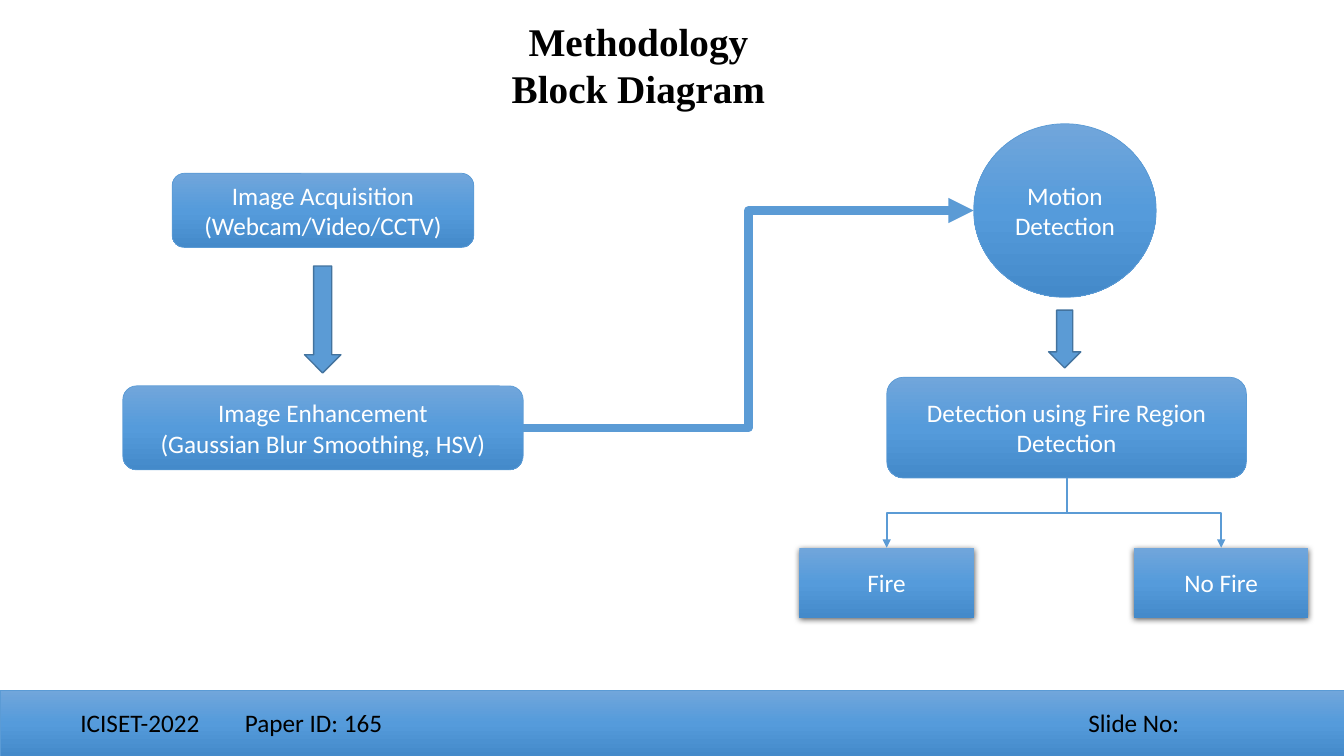
from lxml import etree
from pptx import Presentation
from pptx.dml.color import RGBColor
from pptx.enum import shapes, text
from pptx.oxml.ns import qn
from pptx.util import Pt

INK = {"top": "71A6DB", "mid": "559BDB", "low": "448ACA", "line": "5B9BD5",
       "edge": "43739E", "white": "FFFFFF", "black": "000000"}
KIND = shapes.MSO_SHAPE

deck = Presentation()
deck.slide_width, deck.slide_height = Pt(960), Pt(540)
slide = deck.slides.add_slide(deck.slide_layouts[5])
parts = slide.shapes


def style(frame, size, color, font="Calibri", align=text.PP_ALIGN.CENTER):
    """Align every paragraph and format its runs."""
    frame.word_wrap = True
    for para in frame.paragraphs:
        para.alignment = align
        for run in para.runs:
            run.font.size, run.font.name = Pt(size), font
            run.font.color.rgb = RGBColor.from_string(INK[color])


def link(start, site, end, goal, frame, weight, turn=0, flip=None):
    """Glue an elbow arrow to two shapes and place its frame."""
    wire = parts.add_connector(shapes.MSO_CONNECTOR.ELBOW, 0, 0, 0, 0)
    wire.begin_connect(start, site)
    wire.end_connect(end, goal)
    wire.left, wire.top, wire.width, wire.height = [Pt(v) for v in frame]
    props = wire._element.spPr
    form = props.find(qn("a:xfrm"))
    for name in ("flipH", "flipV"):
        form.set(name, "1" if name == flip else "0")
    form.set("rot", str(turn * 60000))
    wire.line.width = Pt(weight)
    wire.line.color.rgb = RGBColor.from_string(INK["line"])
    etree.SubElement(wire.line._get_or_add_ln(), qn("a:tailEnd"), type="triangle")
    etree.SubElement(props, qn("a:effectLst"))


# Title
title = parts.title
title.left, title.top, title.width, title.height = Pt(303), Pt(8.6), Pt(306), Pt(75)
title.text_frame.text = "Methodology\nBlock Diagram"
title.text_frame.vertical_anchor = text.MSO_ANCHOR.TOP
style(title.text_frame, 28, "black", "Times New Roman")
for para in title.text_frame.paragraphs:
    para.line_spacing = Pt(33.6)
    para.runs[0].font.bold = True

# Footer bar and blocks: name, kind, left, top, width, height, words
blocks = [
    ("bar", KIND.RECTANGLE, 0, 493, 960, 47, ""),
    ("input", KIND.ROUNDED_RECTANGLE, 123, 123.8, 215.4, 53,
     "Image Acquisition\n(Webcam/Video/CCTV)"),
    ("enhance", KIND.ROUNDED_RECTANGLE, 87.7, 275.6, 286, 60,
     "Image Enhancement\n(Gaussian Blur Smoothing, HSV)"),
    ("motion", KIND.OVAL, 695.5, 88.4, 130.4, 124, "Motion Detection"),
    ("region", KIND.ROUNDED_RECTANGLE, 633.4, 269.5, 257, 72,
     "Detection using Fire Region Detection"),
    ("fire", KIND.RECTANGLE, 571, 391.2, 124.6, 50, "Fire"),
    ("clear", KIND.RECTANGLE, 810, 391.2, 124.6, 50, "No Fire"),
]
made = {}
for name, kind, left, top, width, height, words in blocks:
    box = parts.add_shape(kind, Pt(left), Pt(top), Pt(width), Pt(height))
    made[name] = box
    box.shadow.inherit = False
    box.fill.gradient()
    box.fill.gradient_angle = 270
    stops = box._element.spPr.find(qn("a:gradFill")).find(qn("a:gsLst"))
    for old in list(stops):
        stops.remove(old)
    for pos, tone in ((0, "top"), (50, "mid"), (100, "low")):
        stop = etree.SubElement(stops, qn("a:gs"), pos=str(pos * 1000))
        etree.SubElement(stop, qn("a:srgbClr"), val=INK[tone])
    if name in ("fire", "clear"):
        box.line.fill.background()
        glow = etree.SubElement(
            box._element.spPr.find(qn("a:effectLst")), qn("a:outerShdw"),
            blurRad=str(Pt(4.5)), dist=str(Pt(1.5)), dir="5400000",
            algn="ctr", rotWithShape="0")
        tint = etree.SubElement(glow, qn("a:srgbClr"), val=INK["black"])
        etree.SubElement(tint, qn("a:alpha"), val="63000")
    else:
        box.line.width = Pt(0.5)
        box.line.color.rgb = RGBColor.from_string(INK["line"])
    if words:
        box.text_frame.text = words
        box.text_frame.vertical_anchor = text.MSO_ANCHOR.MIDDLE
        style(box.text_frame, 18, "white")

# Block arrows
for left, top, width, height in ((217.5, 190, 26, 76.4), (749, 221.5, 23, 41.3)):
    arrow = parts.add_shape(KIND.DOWN_ARROW, Pt(left), Pt(top), Pt(width), Pt(height))
    arrow.shadow.inherit = False
    arrow.fill.solid()
    arrow.fill.fore_color.rgb = RGBColor.from_string(INK["line"])
    arrow.line.color.rgb = RGBColor.from_string(INK["edge"])
    arrow.line.width = Pt(1)

# Elbow arrows
link(made["enhance"], 3, made["motion"], 2, (373.7, 150.4, 321.8, 155.2), 6, flip="flipV")
link(made["region"], 2, made["fire"], 0, (672.8, 302.1, 49.7, 128.6), 1.5, 90)
link(made["region"], 2, made["clear"], 0, (792.2, 311.2, 49.7, 110.4), 1.5, 270, "flipH")

# Footer text
foot = parts.add_textbox(Pt(50.4), Pt(502), Pt(888.5), Pt(29)).text_frame
foot.text = "ICISET-2022\tPaper ID: 165\tSlide No:"
tabs = etree.SubElement(foot.paragraphs[0]._p.get_or_add_pPr(), qn("a:tabLst"))
for stop in (117.5, 720):
    etree.SubElement(tabs, qn("a:tab"), pos=str(Pt(stop)), algn="l")
style(foot, 18, "black", align=text.PP_ALIGN.LEFT)

deck.save("out.pptx")
